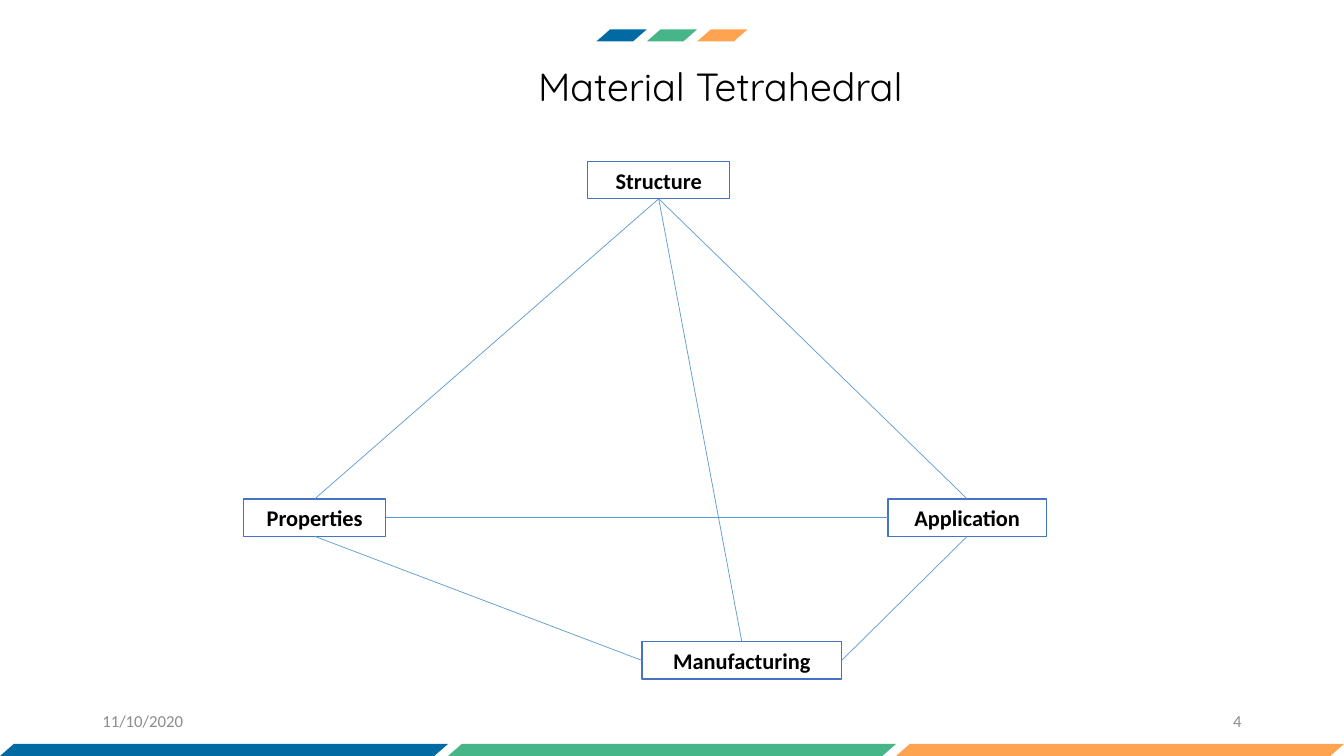
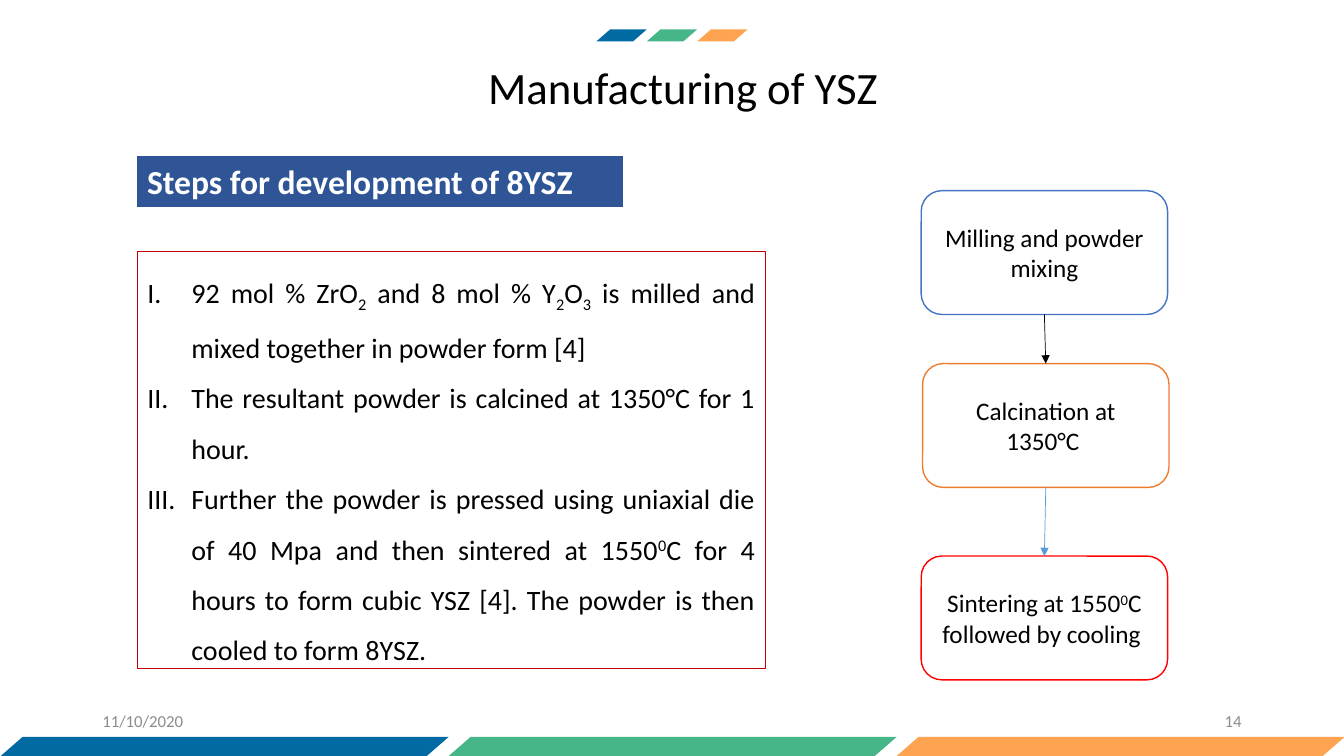
from dataclasses import dataclass

from lxml import etree
from pptx import Presentation
from pptx.dml.color import RGBColor
from pptx.enum.shapes import MSO_CONNECTOR, MSO_SHAPE
from pptx.enum.text import MSO_ANCHOR, MSO_AUTO_SIZE, PP_ALIGN
from pptx.oxml.ns import qn
from pptx.util import Pt

RECTANGLE, ROUNDED = MSO_SHAPE.RECTANGLE, MSO_SHAPE.ROUNDED_RECTANGLE
PARALLELOGRAM = MSO_SHAPE.PARALLELOGRAM
STRAIGHT = MSO_CONNECTOR.STRAIGHT
LEFT, CENTER, RIGHT, JUSTIFY = (
    PP_ALIGN.LEFT, PP_ALIGN.CENTER, PP_ALIGN.RIGHT, PP_ALIGN.JUSTIFY)
TOP, MIDDLE = MSO_ANCHOR.TOP, MSO_ANCHOR.MIDDLE
NO_AUTOFIT = MSO_AUTO_SIZE.NONE

# Connection sites of a rectangle
SITE_TOP, SITE_LEFT, SITE_BOTTOM, SITE_RIGHT = range(4)
# Layouts of the default template
TITLE_AND_CONTENT, TITLE_ONLY = 1, 5
SUBSCRIPT, SUPERSCRIPT = -25, 30


@dataclass(frozen=True)
class Theme:
    font: str = "Calibri"
    display_font: str = "Quicksand"
    black: str = "000000"
    white: str = "FFFFFF"
    grey: str = "8C8C8C"
    blue: str = "4472C4"
    light_blue: str = "5B9BD5"
    dark_blue: str = "2F5597"
    orange: str = "ED7D31"
    red: str = "FF0000"
    dark_red: str = "C00000"
    bands: tuple = ("016AA3", "46B688", "FEA34F")
    footer_size: int = 12
    label_size: int = 16
    step_size: int = 18
    body_size: int = 20
    heading_size: int = 24


THEME = Theme()
DATE = "11/10/2020"


def color(value):
    return RGBColor.from_string(value)


def points(*values):
    return [Pt(value) for value in values]


def set_attributes(target, values):
    for name, value in values.items():
        setattr(target, name, value)


def place(shape, box):
    set_attributes(shape, dict(zip(("left", "top", "width", "height"), points(*box))))


# Text

def write(shape, paragraphs, size, align=LEFT, anchor=MIDDLE, text_color=THEME.black,
          font=THEME.font, bold=False, margins=(7.2, 3.6)):
    """Each paragraph is a string or a list of (text, baseline percent) runs."""
    frame = shape.text_frame
    side, edge = points(*margins)
    set_attributes(frame, {
        "word_wrap": True, "auto_size": NO_AUTOFIT, "vertical_anchor": anchor,
        "margin_left": side, "margin_right": side,
        "margin_top": edge, "margin_bottom": edge})
    for index, content in enumerate(paragraphs):
        paragraph = frame.add_paragraph() if index else frame.paragraphs[0]
        set_attributes(paragraph, {"alignment": align, "space_before": Pt(0)})
        runs = [(content, 0)] if isinstance(content, str) else content
        for text, baseline in runs:
            run = paragraph.add_run()
            run.text = text
            set_attributes(run.font, {"name": font, "size": Pt(size), "bold": bold})
            run.font.color.rgb = color(text_color)
            if baseline:
                run._r.get_or_add_rPr().set("baseline", str(baseline * 1000))


def add_text(slide, box, text, size, **text_format):
    write(slide.shapes.add_textbox(*points(*box)), [text], size, **text_format)


def number_paragraphs(shape, indent):
    for paragraph in shape.text_frame.paragraphs:
        paragraph.line_spacing = 1.5
        properties = paragraph._p.get_or_add_pPr()
        properties.set("marL", str(Pt(indent)))
        properties.set("indent", str(-Pt(indent)))
        etree.SubElement(properties, qn("a:buFont")).set("typeface", "+mj-lt")
        etree.SubElement(properties, qn("a:buAutoNum")).set("type", "romanUcPeriod")


# Shapes and connectors

def add_box(shapes, kind, box, fill=None, line=None, line_width=1):
    shape = shapes.add_shape(kind, *points(*box))
    shape.shadow.inherit = False
    if fill:
        shape.fill.solid()
        shape.fill.fore_color.rgb = color(fill)
    else:
        shape.fill.background()
    if line:
        shape.line.color.rgb = color(line)
        shape.line.width = Pt(line_width)
    else:
        shape.line.fill.background()
    return shape


def connect(slide, start, start_site, end, end_site, line=THEME.light_blue, arrow=False):
    connector = slide.shapes.add_connector(STRAIGHT, *points(0, 0, 0, 0))
    connector.begin_connect(start, start_site)
    connector.end_connect(end, end_site)
    connector.line.color.rgb = color(line)
    connector.line.width = Pt(0.5)
    if arrow:
        outline = connector.line._get_or_add_ln()
        etree.SubElement(outline, qn("a:tailEnd")).set("type", "triangle")
    etree.SubElement(connector._element.spPr, qn("a:effectLst"))


def add_bands(slide, left, top, width, height):
    group = slide.shapes.add_group_shape()
    for index, fill in enumerate(THEME.bands):
        box = (left + index * width, top, width, height)
        band = add_box(group.shapes, PARALLELOGRAM, box, fill)
        band.adjustments[0] = 1.144


# Frame shared by the slides

def start_slide(presentation, layout, title, title_box, title_size, title_font,
                number, band_left, band_height):
    slide = presentation.slides.add_slide(presentation.slide_layouts[layout])
    place(slide.shapes.title, title_box)
    write(slide.shapes.title, [title], title_size, CENTER, font=title_font, margins=(0, 0))
    add_bands(slide, band_left, 540 - band_height, 320, band_height)
    add_bands(slide, 426, 21, 36, 8.6)
    for left, text, align in ((66, DATE, LEFT), (678, number, RIGHT)):
        add_text(slide, (left, 500.5, 216, 28.75), text, THEME.footer_size,
                 align=align, text_color=THEME.grey)
    return slide


# Slides

def build_tetrahedral(presentation):
    slide = start_slide(presentation, TITLE_ONLY, "Material Tetrahedral",
                        (273, 44, 483, 34), 28, THEME.display_font, "4", 0, 8.6)
    corners = {}
    for name, left, top, width in (
            ("Properties", 174, 356.4, 101.5),
            ("Manufacturing", 458.6, 458.4, 142.6),
            ("Application", 634.3, 356.4, 113.2),
            ("Structure", 419.8, 115.3, 101.5)):
        corner = add_box(slide.shapes, RECTANGLE, (left, top, width, 26.7),
                         THEME.white, THEME.blue)
        write(corner, [name], THEME.label_size, CENTER, bold=True)
        corners[name] = corner
    for start, start_site, end, end_site in (
            ("Structure", SITE_BOTTOM, "Properties", SITE_TOP),
            ("Properties", SITE_BOTTOM, "Manufacturing", SITE_LEFT),
            ("Manufacturing", SITE_RIGHT, "Application", SITE_BOTTOM),
            ("Structure", SITE_BOTTOM, "Application", SITE_TOP),
            ("Properties", SITE_RIGHT, "Application", SITE_LEFT),
            ("Structure", SITE_BOTTOM, "Manufacturing", SITE_TOP)):
        connect(slide, corners[start], start_site, corners[end], end_site)


def build_manufacturing(presentation):
    slide = start_slide(presentation, TITLE_AND_CONTENT, "Manufacturing of YSZ",
                        (236, 42.5, 504, 39), 32, THEME.font, "14", 0.5, 13.7)

    # Heading and numbered steps
    heading = add_box(slide.shapes, RECTANGLE, (98, 111.5, 347, 36.4), THEME.dark_blue)
    write(heading, ["Steps for development of 8YSZ"], THEME.heading_size,
          text_color=THEME.white, bold=True)
    steps = slide.placeholders[1]
    place(steps, (98, 179.5, 448.5, 298))
    steps.line.color.rgb = color(THEME.dark_red)
    steps.line.width = Pt(0.75)
    write(steps, [
        [("92 mol % ZrO", 0), ("2", SUBSCRIPT), (" and 8 mol % Y", 0), ("2", SUBSCRIPT),
         ("O", 0), ("3", SUBSCRIPT),
         (" is milled and mixed together in powder form [4]", 0)],
        "The resultant powder is calcined at 1350°C for 1 hour.",
        [("Further the powder is pressed using uniaxial die of 40 Mpa and then "
          "sintered at 1550", 0), ("0", SUPERSCRIPT),
         ("C for 4 hours to form cubic YSZ [4]. The powder is then cooled to "
          "form 8YSZ.", 0)],
    ], THEME.body_size, JUSTIFY, TOP)
    number_paragraphs(steps, 31.5)

    # Flow of stages
    stages = []
    for left, top, fill, line, content in (
            (658, 136.2, THEME.white, THEME.blue, "Milling and powder mixing"),
            (659, 259.7, THEME.white, THEME.orange, "Calcination at 1350°C "),
            (658, 397.2, None, THEME.red,
             [("Sintering at 1550", 0), ("0", SUPERSCRIPT),
              ("C followed by cooling ", 0)])):
        stage = add_box(slide.shapes, ROUNDED, (left, top, 176, 88.4), fill, line)
        write(stage, [content], THEME.step_size, CENTER)
        stages.append(stage)
    for start, end, line in zip(stages, stages[1:], (THEME.black, THEME.light_blue)):
        connect(slide, start, SITE_BOTTOM, end, SITE_TOP, line, arrow=True)


def main():
    presentation = Presentation()
    presentation.slide_width, presentation.slide_height = points(960, 540)
    build_tetrahedral(presentation)
    build_manufacturing(presentation)
    presentation.save("out.pptx")


if __name__ == "__main__":
    main()
